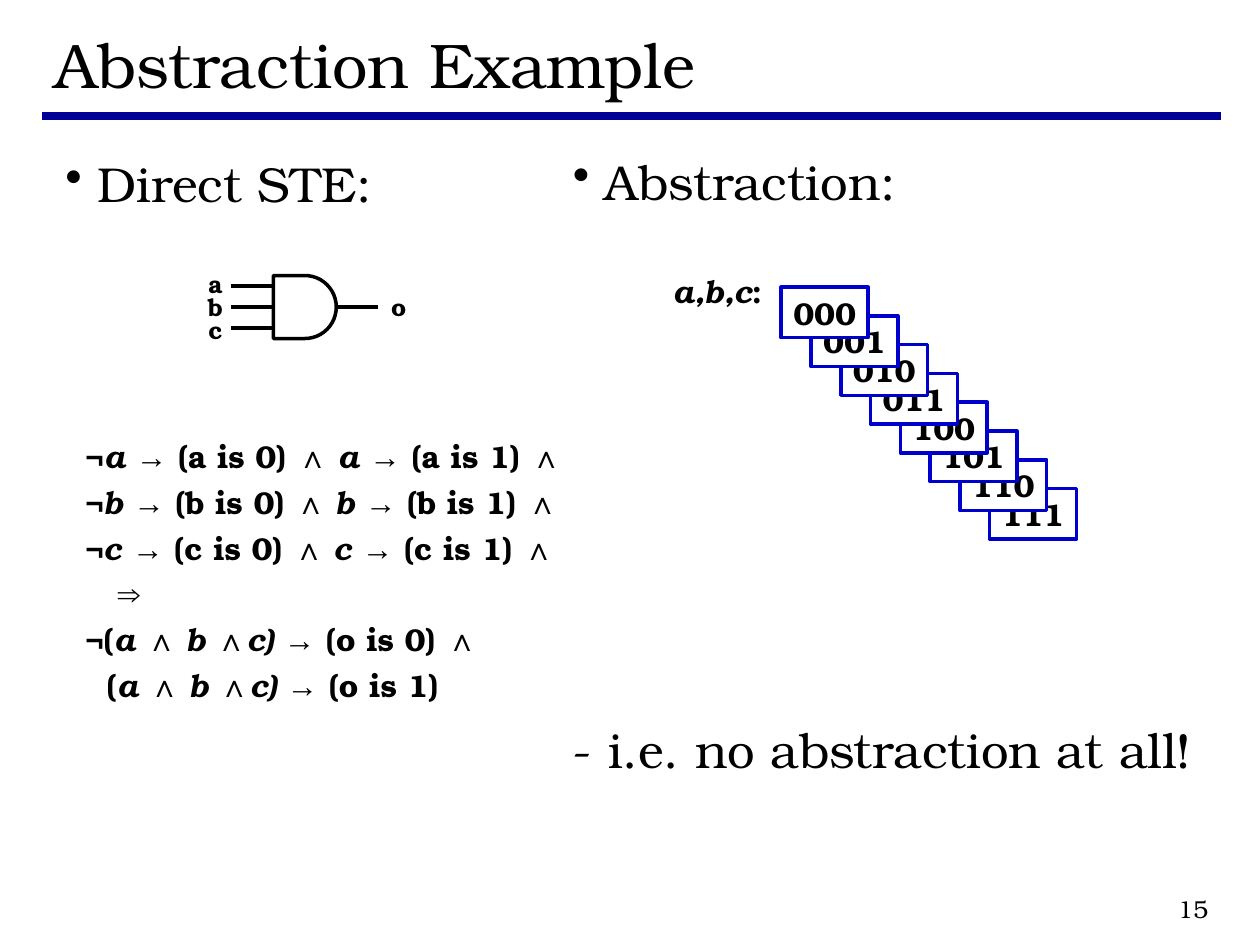
from lxml.etree import SubElement
from pptx import Presentation
from pptx.dml.color import RGBColor
from pptx.enum.shapes import MSO_CONNECTOR as Link, MSO_SHAPE as Shape
from pptx.enum.text import MSO_ANCHOR as Anchor, PP_ALIGN as Align
from pptx.oxml.ns import qn
from pptx.util import Cm, Pt

SERIF, SYMBOL = "TeX Gyre Bonum", "Arial"
BLACK, WHITE, BLUE, NAVY = "000000", "FFFFFF", "0000CC", "000099"
CLAUSES = [f"¬|{v} |→| ({v} is 0) |∧ |{v} |→| ({v} is 1) |∧" for v in "abc"]
RESULTS = ["¬|(|a |∧ |b |∧|c) |→| (o is 0) |∧", "(|a |∧ |b |∧|c) |→| (o is 1)"]


def color(value):
    """Turn a hex string into a colour."""
    return RGBColor.from_string(value)


def style(para, size, bold=False, align=Align.LEFT):
    """Set the font and alignment that all runs of a paragraph share."""
    para.alignment = align
    para.font.name, para.font.size, para.font.bold = SERIF, Pt(size), bold
    para.font.color.rgb = color(BLACK)


def indent(para, left, first=0, bullet=None):
    """Indent a paragraph, with a hanging bullet if one is given."""
    props = para._p.get_or_add_pPr()
    props.set("marL", str(Cm(left)))
    props.set("indent", str(Cm(first)))
    if bullet:
        SubElement(props, qn("a:buChar")).set("char", bullet)


def add_text(page, box, text="", size=18, bold=False, align=Align.LEFT, anchor=Anchor.TOP):
    """Add a wrapped text box and return its frame."""
    frame = page.shapes.add_textbox(*map(Cm, box)).text_frame
    frame.word_wrap, frame.vertical_anchor = True, anchor
    if text:
        frame.text = text
        style(frame.paragraphs[0], size, bold, align)
    return frame


def add_line(page, start, end, hue=BLACK, width=2):
    """Add a straight line without shadow."""
    line = page.shapes.add_connector(Link.STRAIGHT, *map(Cm, (*start, *end)))
    line.line.color.rgb, line.line.width = color(hue), Pt(width)
    SubElement(line._element.spPr, qn("a:effectLst"))
    return line


def add_outlined(page, kind, box, hue):
    """Add an unfilled preset shape with a coloured outline."""
    shape = page.shapes.add_shape(kind, *map(Cm, box))
    shape.shadow.inherit = False
    shape.fill.background()
    shape.line.color.rgb, shape.line.width = color(hue), Pt(2)
    return shape


def add_header(page, box):
    """Place the title and the rule below it."""
    left, top, width, height = box
    add_text(page, box, "Abstraction Example", 36, anchor=Anchor.MIDDLE)
    rule = top + height + 0.21
    add_line(page, (left, rule), (left + width, rule), NAVY, 5)


def add_points(page, box, heading, remark=None):
    """Place a bulleted heading and, far below it, an optional remark."""
    frame = add_text(page, box)
    para = frame.paragraphs[0]
    para.text = heading
    indent(para, 0.64, -0.64, "•")
    style(para, 28)
    if remark:
        para = frame.add_paragraph()
        para.text = remark
        para.space_before = Pt(291.2)
        style(para, 28)


def add_gate(page, box):
    """Draw the AND gate with its labelled inputs and output."""
    left, top, width, height = box
    gate_left, gate_size, wire = left + 1.9, 1.27, 0.85
    gate_right, middle = gate_left + gate_size, top + 0.91
    gate_box = (gate_left, middle - gate_size / 2, gate_size, gate_size)
    gate = add_outlined(page, Shape.FLOWCHART_DELAY, gate_box, BLACK)
    for row, name in enumerate("abc"):
        level = middle + 0.42 * (row - 1)
        pin = add_line(page, (gate_left, level), (gate_left - wire, level))
        if row == 1:
            pin.begin_connect(gate, 1)
        add_text(page, (left, top + 0.02 + 0.46 * row, 1.47, 0.86), name, 14, True, Align.CENTER)
    output = add_line(page, (gate_right + wire, middle), (gate_right, middle))
    output.end_connect(gate, 3)
    add_text(page, (left + width - 1.7, top + 0.49, 1.7, 0.86), "o", 14, True, Align.CENTER)


def add_formula(page, box):
    """Write the trajectory formula, with symbols and variables set apart."""
    frame = add_text(page, box)
    lines = [*CLAUSES, "⇒", *RESULTS]
    for row, line in enumerate(lines):
        para = frame.add_paragraph() if row else frame.paragraphs[0]
        if row:
            para.space_before = Pt(4.5)
        indent(para, {"⇒": 0.65, "(": 0.43}.get(line[0], 0))
        style(para, 18, True)
        for part in line.split("|"):
            span = para.add_run()
            span.text = part
            span.font.name = SYMBOL if part[0] in "¬→∧⇒" else SERIF
            span.font.italic = part[0] in "abc"


def add_cases(page, box):
    """Stack the eight input values as a cascade behind the first one."""
    left, top, width, height = box
    for value in reversed(range(8)):
        card_box = (left + 3.13 + 0.6 * value, top + 0.43 + 0.58 * value, 1.75, 1.02)
        card = add_outlined(page, Shape.RECTANGLE, card_box, BLUE)
        card.fill.solid()
        card.fill.fore_color.rgb = color(WHITE)
        frame = card.text_frame
        frame.word_wrap, frame.vertical_anchor = False, Anchor.MIDDLE
        frame.text = f"{value:03b}"
        style(frame.paragraphs[0], 18, True, Align.CENTER)
    para = add_text(page, (left, top, 3, 1.02)).paragraphs[0]
    style(para, 18, True, Align.RIGHT)
    for text, italic in (("a,b,c", True), (":", False)):
        span = para.add_run()
        span.text, span.font.italic = text, italic


def main():
    """Build the slide and save it."""
    deck = Presentation()
    deck.slide_width, deck.slide_height = Cm(25.4), Cm(19.05)
    page = deck.slides.add_slide(deck.slide_layouts[6])
    add_header(page, (0.84, 0.43, 23.77, 1.7))
    add_points(page, (1.07, 2.97, 11.71, 1.47), "Direct STE:")
    add_gate(page, (3.61, 5.28, 5.28, 1.8))
    add_formula(page, (1.47, 8.69, 10.36, 6.55))
    add_points(page, (11.3, 2.92, 13.31, 13.59), "Abstraction:", "- i.e. no abstraction at all!")
    add_cases(page, (12.62, 5.36, 9.08, 5.53))
    add_text(page, (19.33, 17.78, 5.28, 1.07), "15", 14, align=Align.RIGHT, anchor=Anchor.MIDDLE)
    deck.save("out.pptx")


if __name__ == "__main__":
    main()
